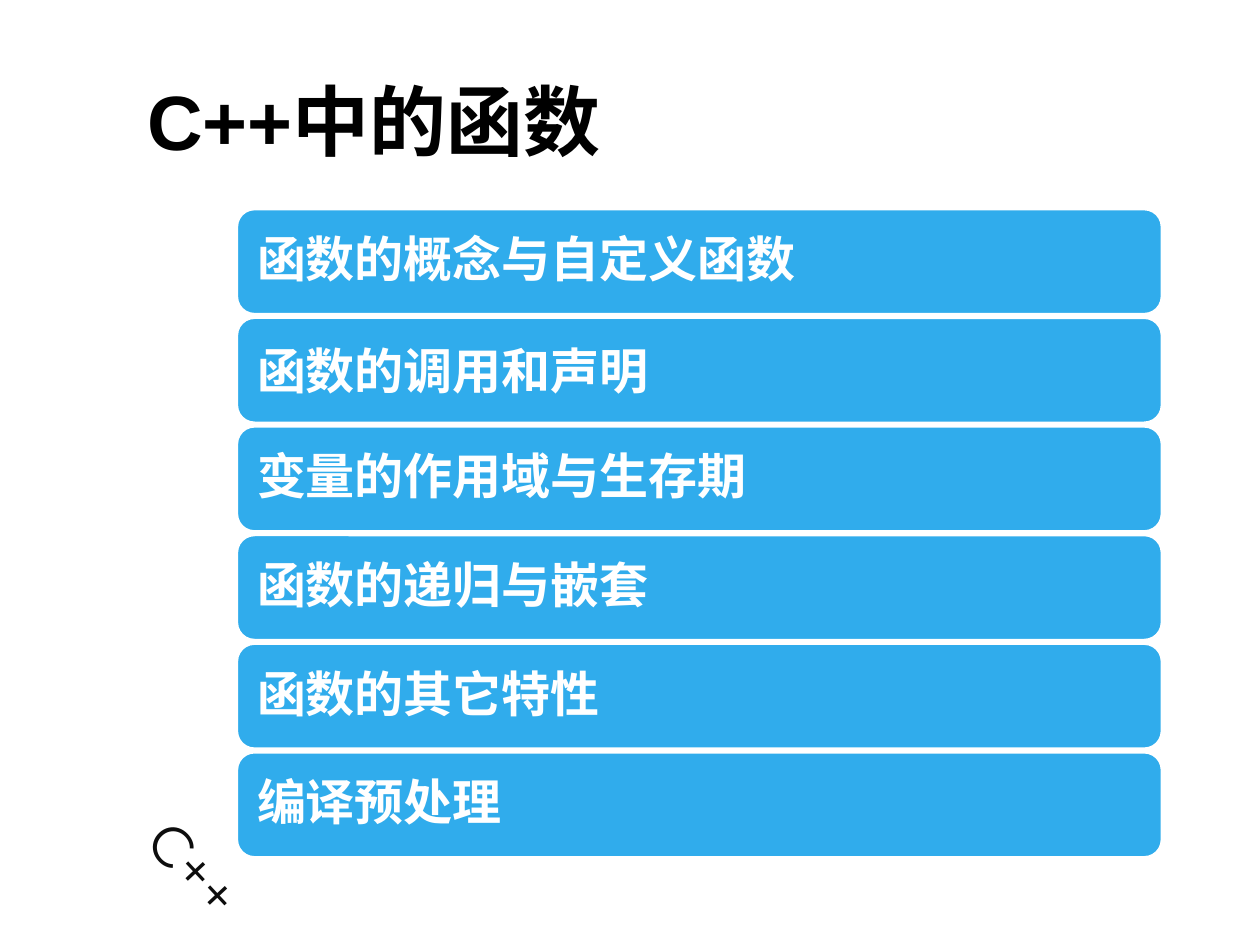
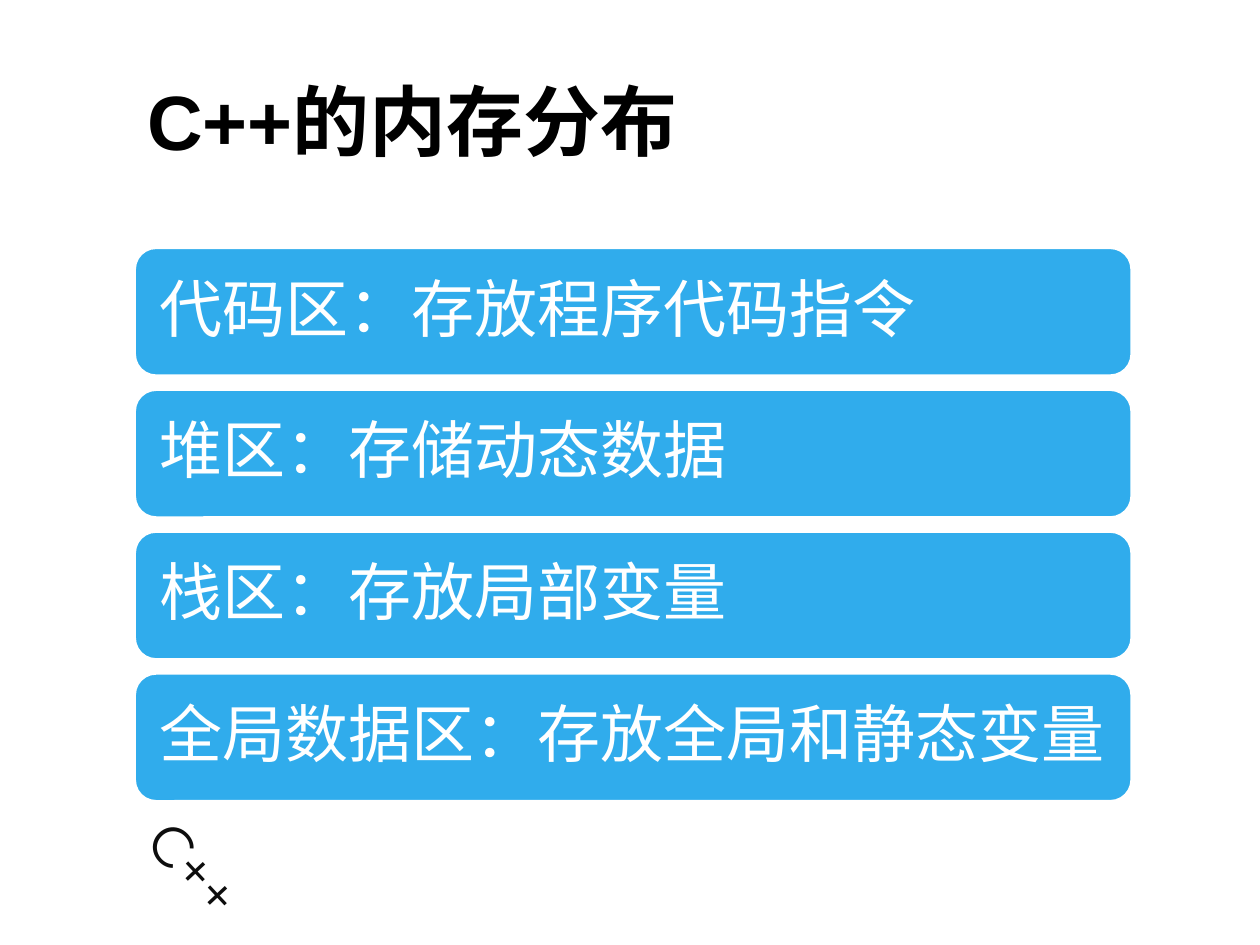
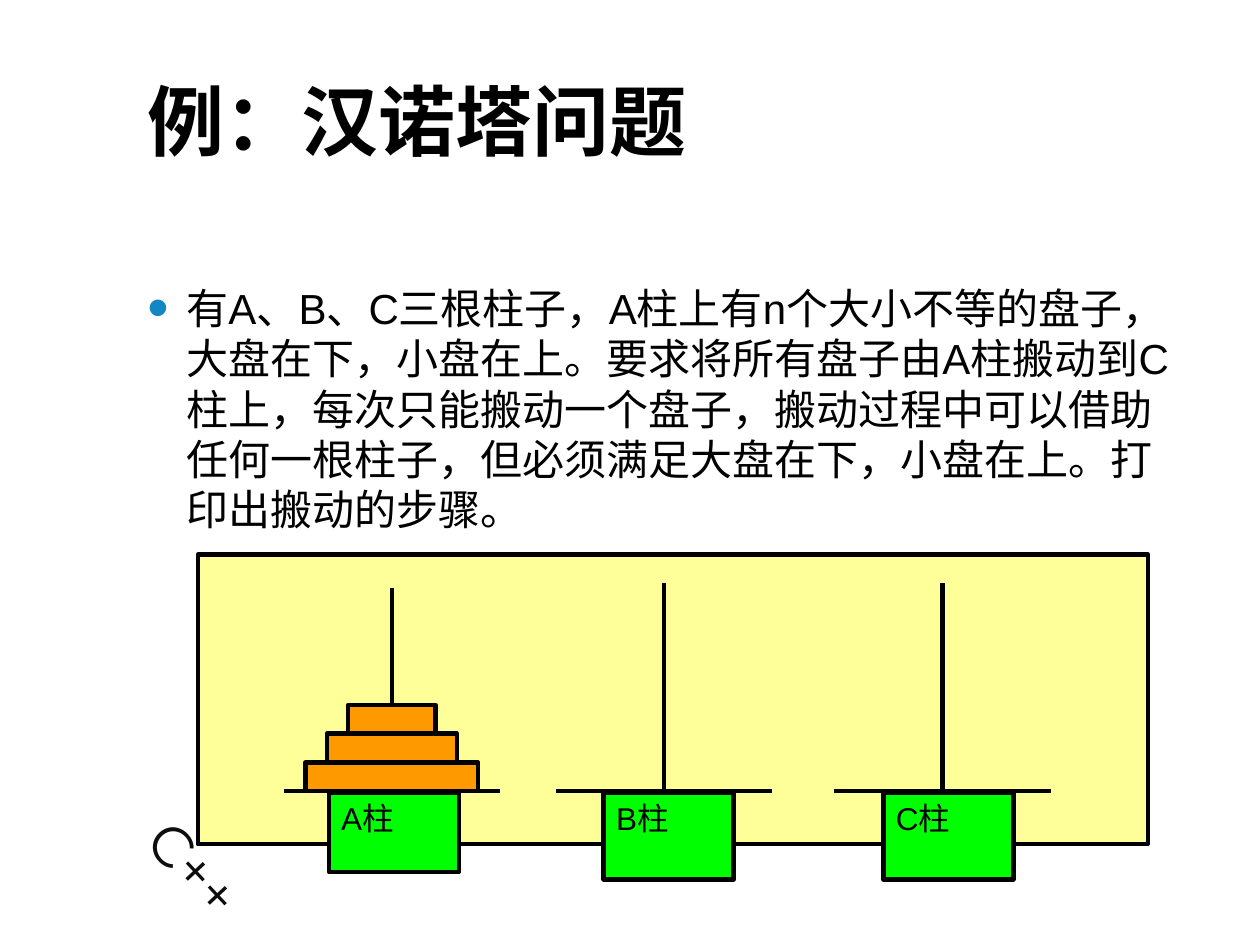
from dataclasses import dataclass

from lxml.etree import SubElement
from pptx import Presentation
from pptx.dml.color import RGBColor
from pptx.enum.lang import MSO_LANGUAGE_ID as Language
from pptx.enum.shapes import MSO_CONNECTOR as Connector
from pptx.enum.shapes import MSO_SHAPE as Shape
from pptx.enum.text import MSO_ANCHOR as Anchor
from pptx.enum.text import PP_ALIGN as Align
from pptx.oxml.ns import qn
from pptx.util import Cm, Pt

COLORS = {
    "paper": "FFFFFF",
    "ink": "000000",
    "mark": "0D0D0D",
    "bar": "30ACEC",
    "bullet": "1287C3",
    "board": "FFFF99",
    "block": "00FF00",
    "disc": "FF9900",
}
FONT = "Arial"
MARK_FONT = "Montserrat"
OUTLINE = 2.5

BASE_Y = 15.95
BASE_HALF = 2.18
BLOCK_TOP = 15.98
BLOCK_WIDTH = 2.62
DISC_HEIGHT = 0.58
DISC_WIDTHS = (3.48, 2.62, 1.76)

PROBLEM = (
    "有A、B、C三根柱子，A柱上有n个大小不等的盘子，大盘在下，小盘在上。"
    "要求将所有盘子由A柱搬动到C柱上，每次只能搬动一个盘子，"
    "搬动过程中可以借助任何一根柱子，但必须满足大盘在下，小盘在上。"
    "打印出搬动的步骤。"
)


@dataclass(frozen=True)
class Box:
    left: float
    top: float
    width: float
    height: float

    def lengths(self) -> tuple:
        return Cm(self.left), Cm(self.top), Cm(self.width), Cm(self.height)


@dataclass(frozen=True)
class Style:
    size: float
    color: str = "ink"
    bold: bool = False
    font: str = FONT


@dataclass(frozen=True)
class BarList:
    first: Box
    pitch: float
    inset: float
    style: Style
    labels: tuple[str, ...]
    loose: tuple[int, ...] = ()


@dataclass(frozen=True)
class Peg:
    label: str
    center: float
    top: float
    block_left: float
    block_height: float
    disc_widths: tuple[float, ...] = ()


TITLE_BOX = Box(2.72, 0.74, 21.41, 3.35)
TITLE_STYLE = Style(44, bold=True)
MARK_BOX = Box(2.39, 17.22, 4.09, 1.63)
MARK_STYLE = Style(32, "mark", font=MARK_FONT)
BODY_BOX = Box(2.72, 4.65, 21.41, 13.16)
BOARD_BOX = Box(3.99, 11.18, 19.15, 5.84)

TOPICS = BarList(
    Box(4.78, 4.22, 18.64, 2.11), 2.19, 0.3, Style(28, "paper", bold=True),
    ("函数的概念与自定义函数", "函数的调用和声明", "变量的作用域与生存期",
     "函数的递归与嵌套", "函数的其它特性", "编译预处理"),
    loose=(1,),
)
MEMORY = BarList(
    Box(2.72, 5.0, 20.09, 2.57), 2.86, 0.38, Style(36, "paper"),
    ("代码区：存放程序代码指令", "堆区：存储动态数据",
     "栈区：存放局部变量", "全局数据区：存放全局和静态变量"),
)
PEGS = (
    Peg("A柱", 7.9, 11.86, 6.63, 1.6, DISC_WIDTHS),
    Peg("B柱", 13.39, 11.76, 12.17, 1.75),
    Peg("C柱", 19.0, 11.76, 17.81, 1.75),
)


def rgb(name: str) -> RGBColor:
    return RGBColor.from_string(COLORS[name])


def write(shape, text: str, style: Style, anchor=Anchor.TOP):
    frame = shape.text_frame
    frame.word_wrap = True
    frame.vertical_anchor = anchor
    para = frame.paragraphs[0]
    para.alignment = Align.LEFT
    span = para.add_run()
    span.text = text
    span.font.size = Pt(style.size)
    span.font.bold = style.bold
    span.font.name = style.font
    span.font.color.rgb = rgb(style.color)
    span.font.language_id = Language.SIMPLIFIED_CHINESE
    return para


def add_text(page, box: Box, text: str, style: Style, anchor=Anchor.TOP):
    shape = page.shapes.add_textbox(*box.lengths())
    write(shape, text, style, anchor)
    return shape


def add_block(page, kind, box: Box, fill: str, line: str = "ink", width: float = OUTLINE):
    shape = page.shapes.add_shape(kind, *box.lengths())
    shape.shadow.inherit = False
    shape.fill.solid()
    shape.fill.fore_color.rgb = rgb(fill)
    shape.line.color.rgb = rgb(line)
    shape.line.width = Pt(width)
    return shape


def add_line(page, x1: float, y1: float, x2: float, y2: float) -> None:
    line = page.shapes.add_connector(Connector.STRAIGHT, Cm(x1), Cm(y1), Cm(x2), Cm(y2))
    line.line.color.rgb = rgb("ink")
    line.line.width = Pt(OUTLINE)
    SubElement(line._element.spPr, qn("a:effectLst"))


def add_bullet(para) -> None:
    props = para._p.get_or_add_pPr()
    props.set("marL", str(Cm(0.79)))
    props.set("indent", str(-Cm(0.79)))
    color = SubElement(props, qn("a:buClr"))
    SubElement(color, qn("a:srgbClr"), val=COLORS["bullet"])
    SubElement(props, qn("a:buSzPct"), val="145000")
    SubElement(props, qn("a:buFont"), typeface=FONT)
    SubElement(props, qn("a:buChar"), char="•")


def add_page(deck, title: str):
    page = deck.slides.add_slide(deck.slide_layouts[6])
    page.background.fill.solid()
    page.background.fill.fore_color.rgb = rgb("paper")
    mark = add_text(page, MARK_BOX, "C++", MARK_STYLE)
    mark.rotation = 46.9
    add_text(page, TITLE_BOX, title, TITLE_STYLE, Anchor.MIDDLE)
    return page


def add_bars(page, bars: BarList) -> None:
    first = bars.first
    for index, label in enumerate(bars.labels):
        box = Box(first.left, first.top + index * bars.pitch, first.width, first.height)
        bar = add_block(page, Shape.ROUNDED_RECTANGLE, box, "bar", "paper", 1.25)
        frame = bar.text_frame
        frame.margin_left = frame.margin_right = Cm(bars.inset)
        frame.margin_top = frame.margin_bottom = Cm(bars.inset)
        para = write(bar, label, bars.style, Anchor.MIDDLE)
        if index not in bars.loose:
            para.line_spacing = 0.9


def add_peg(page, peg: Peg) -> None:
    box = Box(peg.block_left, BLOCK_TOP, BLOCK_WIDTH, peg.block_height)
    block = add_block(page, Shape.RECTANGLE, box, "block")
    write(block, peg.label, Style(18))
    add_line(page, peg.center, peg.top, peg.center, BASE_Y)
    add_line(page, peg.center - BASE_HALF, BASE_Y, peg.center + BASE_HALF, BASE_Y)
    for level, width in enumerate(peg.disc_widths, start=1):
        disc = Box(peg.center - width / 2, BASE_Y - level * DISC_HEIGHT, width, DISC_HEIGHT)
        add_block(page, Shape.RECTANGLE, disc, "disc")


def add_hanoi(page) -> None:
    body = add_text(page, BODY_BOX, PROBLEM, Style(24))
    body.text_frame.margin_top = Cm(1.04)
    add_bullet(body.text_frame.paragraphs[0])
    add_block(page, Shape.RECTANGLE, BOARD_BOX, "board")
    for peg in PEGS:
        add_peg(page, peg)


def main() -> None:
    deck = Presentation()
    deck.slide_width, deck.slide_height = Cm(25.4), Cm(19.05)
    add_bars(add_page(deck, "C++中的函数"), TOPICS)
    add_bars(add_page(deck, "C++的内存分布"), MEMORY)
    add_hanoi(add_page(deck, "例：汉诺塔问题"))
    deck.save("out.pptx")


if __name__ == "__main__":
    main()
